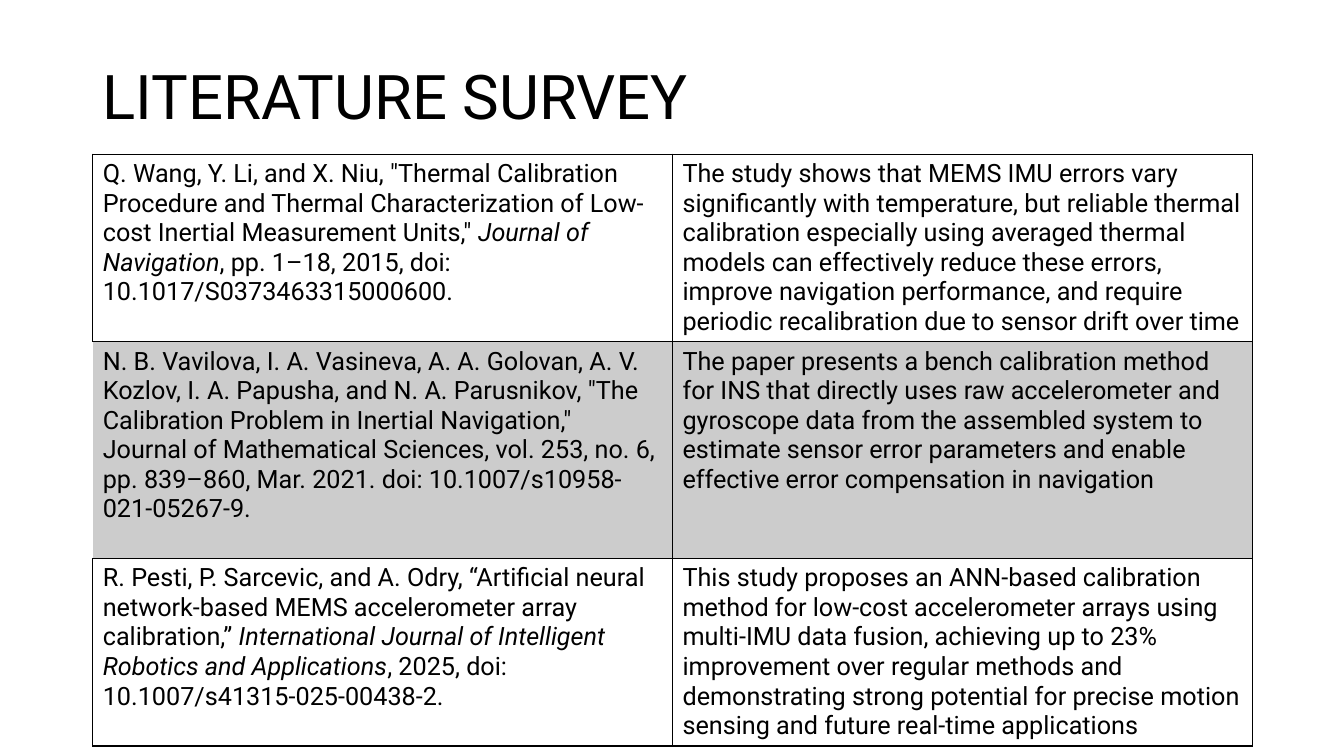
from lxml.etree import SubElement
from pptx import Presentation
from pptx.dml.color import RGBColor
from pptx.enum.text import MSO_ANCHOR, PP_ALIGN
from pptx.oxml.ns import qn
from pptx.util import Emu, Pt

PX = 9144  # 100 px to the inch
BLACK = RGBColor(0x00, 0x00, 0x00)
WHITE = RGBColor(0xFF, 0xFF, 0xFF)
GREY = RGBColor(0xCC, 0xCC, 0xCC)
FONT = "Roboto"

ROW_HEIGHTS = [186, 215, 186]
COLUMN_WIDTH = 575

# Each cell is a list of spans; every second span is italic.
SURVEY = [
    [
        ['Q. Wang, Y. Li, and X. Niu, "Thermal Calibration Procedure and Thermal '
         'Characterization of Low-cost Inertial Measurement Units," ',
         "Journal of Navigation",
         ", pp. 1–18, 2015, doi: 10.1017/S0373463315000600."],
        ["The study shows that MEMS IMU errors vary significantly with temperature, "
         "but reliable thermal calibration especially using averaged thermal models "
         "can effectively reduce these errors, improve navigation performance, and "
         "require periodic recalibration due to sensor drift over time"],
    ],
    [
        ["N. B. Vavilova, I. A. Vasineva, A. A. Golovan, A. V. Kozlov, I. A. Papusha, "
         'and N. A. Parusnikov, "The Calibration Problem in Inertial Navigation," '
         "Journal of Mathematical Sciences, vol. 253, no. 6, pp. 839–860, Mar. 2021. "
         "doi: 10.1007/s10958-021-05267-9."],
        ["The paper presents a bench calibration method for INS that directly uses raw "
         "accelerometer and gyroscope data from the assembled system to estimate sensor "
         "error parameters and enable effective error compensation in navigation"],
    ],
    [
        ["R. Pesti, P. Sarcevic, and A. Odry, “Artificial neural network-based MEMS "
         "accelerometer array calibration,” ",
         "International Journal of Intelligent Robotics and Applications",
         ", 2025, doi: 10.1007/s41315-025-00438-2."],
        ["This study proposes an ANN-based calibration method for low-cost accelerometer "
         "arrays using multi-IMU data fusion, achieving up to 23% improvement over "
         "regular methods and demonstrating strong potential for precise motion sensing "
         "and future real-time applications"],
    ],
]


def px(length):
    return Emu(length * PX)


def format_span(span, size, italic=False):
    span.font.name = FONT
    span.font.size = Pt(size)
    span.font.italic = italic
    span.font.bold = False
    span.font.color.rgb = BLACK


def set_title(page, text):
    title = page.shapes.title
    title.left, title.top, title.width, title.height = map(px, (92, 26, 1150, 145))
    frame = title.text_frame
    frame.text = text
    frame.vertical_anchor = MSO_ANCHOR.MIDDLE
    para = frame.paragraphs[0]
    para.alignment = PP_ALIGN.LEFT
    para.line_spacing = 0.9
    format_span(para.runs[0], 44)


def set_borders(cell, hidden=""):
    """Draw 1 pt black borders, except on the sides named in hidden."""
    properties = cell._tc.get_or_add_tcPr()
    for side in "LRTB":
        line = SubElement(properties, qn(f"a:ln{side}"), w=str(Pt(1)))
        if side in hidden:
            SubElement(line, qn("a:noFill"))
        else:
            fill = SubElement(line, qn("a:solidFill"))
            SubElement(fill, qn("a:srgbClr"), val=str(BLACK))


def fill_cell(cell, spans, color, hidden):
    para = cell.text_frame.paragraphs[0]
    for index, text in enumerate(spans):
        span = para.add_run()
        span.text = text
        format_span(span, 18, italic=index % 2 == 1)
    set_borders(cell, hidden)
    cell.fill.solid()
    cell.fill.fore_color.rgb = color


def add_survey_table(page):
    frame = page.shapes.add_table(
        len(SURVEY), 2, px(92), px(153), px(2 * COLUMN_WIDTH), px(sum(ROW_HEIGHTS)))
    table = frame.table
    table.first_row = False
    table.horz_banding = False
    for column in table.columns:
        column.width = px(COLUMN_WIDTH)
    for row_index, (height, entries) in enumerate(zip(ROW_HEIGHTS, SURVEY)):
        table.rows[row_index].height = px(height)
        shaded = row_index == 1
        for column_index, spans in enumerate(entries):
            hidden = "L" if shaded and column_index == 0 else ""
            fill_cell(table.cell(row_index, column_index), spans,
                      GREY if shaded else WHITE, hidden)


def main():
    deck = Presentation()
    deck.slide_width, deck.slide_height = px(1333), px(750)
    page = deck.slides.add_slide(deck.slide_layouts[5])
    set_title(page, "LITERATURE SURVEY")
    add_survey_table(page)
    deck.save("out.pptx")


if __name__ == "__main__":
    main()
